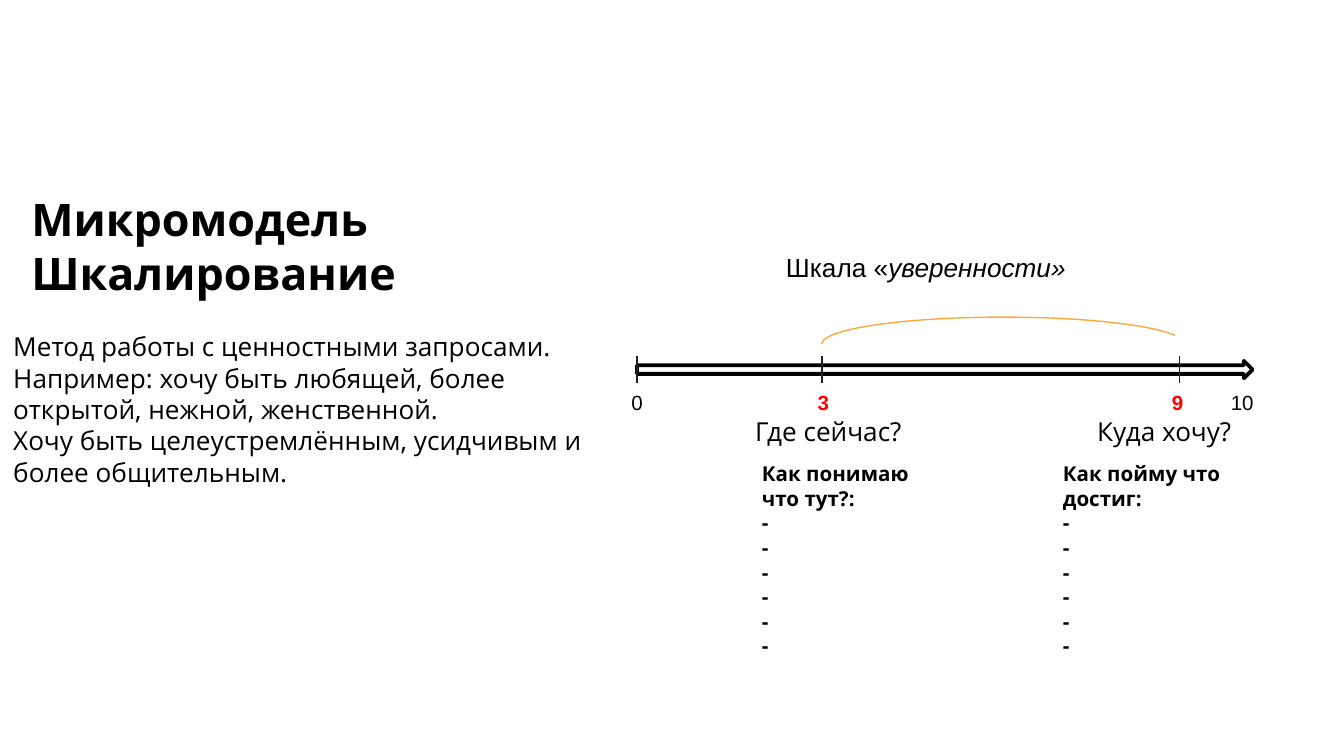
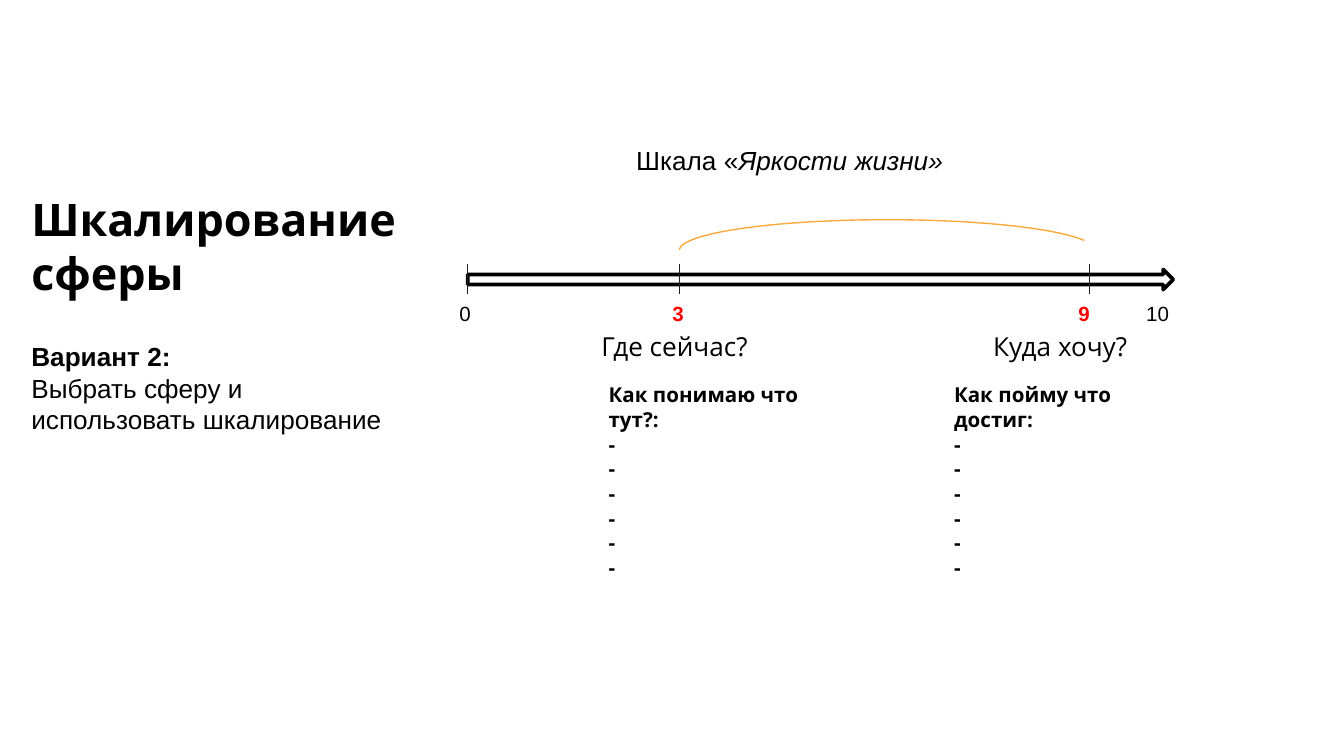
from pptx import Presentation
from pptx.dml.color import RGBColor
from pptx.enum.shapes import MSO_CONNECTOR as Connector, MSO_SHAPE as Shape
from pptx.enum.text import MSO_ANCHOR as Anchor, MSO_AUTO_SIZE as AutoSize
from pptx.oxml.xmlchemy import OxmlElement
from pptx.util import Pt

PX = 4572
BLACK = RGBColor(0x00, 0x00, 0x00)
WHITE = RGBColor(0xFF, 0xFF, 0xFF)
TICK = RGBColor(0x20, 0x20, 0x20)
RED = RGBColor(0xFF, 0x00, 0x00)
ORANGE = RGBColor(0xFE, 0xA8, 0x3A)
SANS = "Open Sans"
ARIAL = "Arial"


class Deck:
    def __init__(self):
        self.prs = Presentation()
        self.prs.slide_width, self.prs.slide_height = 2000 * PX, 1125 * PX
        self.slide = None

    def new_slide(self, title, title_width):
        self.slide = self.prs.slides.add_slide(self.prs.slide_layouts[6])
        frame = self.text((27, 264, title_width, 202), [title], 24, bold=True)
        frame.auto_size = AutoSize.NONE
        frame.vertical_anchor = Anchor.MIDDLE

    def text(self, box, lines, size, font=SANS, color=BLACK, bold=False):
        frame = self.slide.shapes.add_textbox(*(v * PX for v in box)).text_frame
        frame.word_wrap = True
        frame.auto_size = AutoSize.SHAPE_TO_FIT_TEXT
        for number, line in enumerate(lines):
            paragraph = frame.add_paragraph() if number else frame.paragraphs[0]
            paragraph.text = line
            paragraph.font.name = font
            paragraph.font.size = Pt(size)
            paragraph.font.bold = bold
            paragraph.font.color.rgb = color
        return frame

    def shape(self, kind, box, line, width):
        shape = self.slide.shapes.add_shape(kind, *(v * PX for v in box))
        shape.shadow.inherit = False
        shape.line.color.rgb = line
        shape.line.width = Pt(width)
        return shape

    def tick(self, x, top, bottom):
        line = self.slide.shapes.add_connector(
            Connector.STRAIGHT, x * PX, top * PX, x * PX, bottom * PX)
        line.line.color.rgb = TICK
        line.line.width = Pt(0.75)
        line._element.spPr.append(OxmlElement("a:effectLst"))

    def scale(self, left, top, stretch_x, stretch_y, name):
        def place(x, y, width, height):
            return (left + round(x * stretch_x), top + round(y * stretch_y),
                    round(width * stretch_x), round(height * stretch_y))

        axis = self.shape(Shape.RIGHT_ARROW, place(0, 7, 916, 26), BLACK, 2)
        axis.fill.solid()
        axis.fill.fore_color.rgb = WHITE

        heading = self.text(place(202, -166, 614, 68), ["Шкала «"], 14, ARIAL)
        quality = heading.paragraphs[0].add_run()
        quality.text = name
        quality.font.italic = True

        for offset in (0, 275, 807):
            x, tick_top, _, height = place(offset, 0, 0, 40)
            self.tick(x, tick_top, tick_top + height)

        for mark, x, width, color in (("0", -28, 62, BLACK), ("3", 249, 62, RED),
                                      ("9", 776, 62, RED), ("10", 864, 106, BLACK)):
            self.text(place(x, 40, width, 58), [mark], 11, ARIAL, color, color == RED)

        progress = self.shape(Shape.ARC, place(275, -58, 540, 80), ORANGE, 0.75)
        progress.fill.background()
        progress.adjustments[0] = 108.06
        progress.adjustments[1] = 214.284

        for question, question_x, signs, signs_x in (
                ("Где сейчас?", 156, "Как понимаю что тут?:", 166),
                ("Куда хочу?", 665, "Как пойму что достиг:", 614)):
            self.text(place(question_x, 78, 310, 68), [question], 14)
            self.text(place(signs_x, 146, 310, 316), [signs] + ["-"] * 6, 11, bold=True)


def main():
    deck = Deck()

    deck.new_slide("Микромодель\nШкалирование", 890)
    deck.text((0, 482, 916, 256), [
        "Метод работы с ценностными запросами.\n"
        "Например: хочу быть любящей, более открытой, нежной, женственной.\n"
        "Хочу быть целеустремлённым, усидчивым и более общительным."], 14)
    deck.scale(948, 530, 1, 1, "уверенности»")

    deck.new_slide("Шкалирование\nсферы", 636)
    deck.scale(696, 393, 1.146, 1.135, "Яркости жизни»")
    variant = deck.text((27, 497, 608, 162), [
        "Вариант 2:", "Выбрать сферу и использовать шкалирование"], 14, ARIAL)
    variant.paragraphs[0].font.bold = True

    deck.prs.save("out.pptx")


if __name__ == "__main__":
    main()
